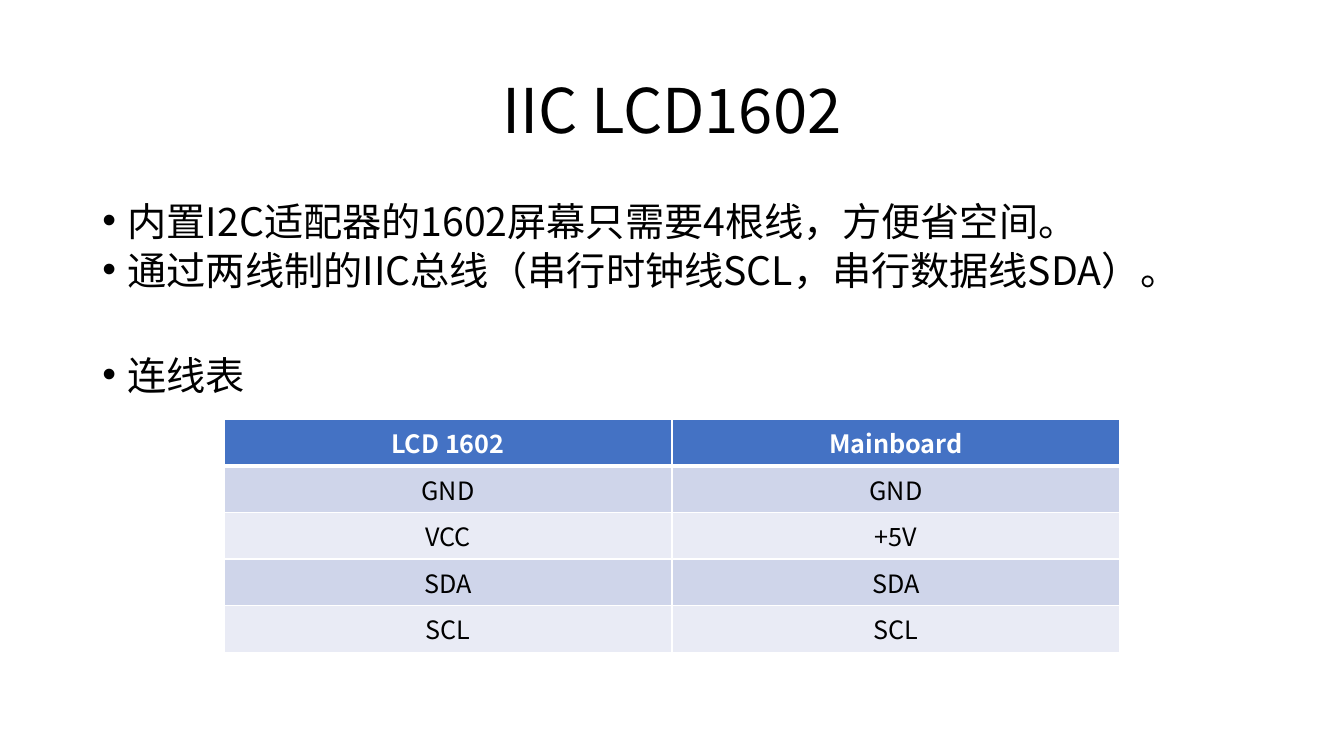
from lxml import etree
from pptx import Presentation
from pptx.dml.color import RGBColor
from pptx.enum.text import MSO_ANCHOR, MSO_AUTO_SIZE, PP_ALIGN
from pptx.oxml.ns import qn
from pptx.util import Pt

CENTER = PP_ALIGN.CENTER
LEFT = PP_ALIGN.LEFT
MIDDLE = MSO_ANCHOR.MIDDLE
TOP = MSO_ANCHOR.TOP
NO_AUTOFIT = MSO_AUTO_SIZE.NONE

FONT = "Noto Sans CJK SC"
BLACK = RGBColor(0x00, 0x00, 0x00)
WHITE = RGBColor(0xFF, 0xFF, 0xFF)
HEADER_BLUE = RGBColor(0x44, 0x72, 0xC4)
BAND_DARK = RGBColor(0xCF, 0xD5, 0xEA)
BAND_LIGHT = RGBColor(0xE9, 0xEB, 0xF5)

TITLE = "IIC LCD1602"
# Each point: wording and space before in points
POINTS = [
    ("内置I2C适配器的1602屏幕只需要4根线，方便省空间。", 0),
    ("通过两线制的IIC总线（串行时钟线SCL，串行数据线SDA）。", 8),
    ("连线表", 48),
]
WIRING = [
    ("LCD 1602", "Mainboard"),
    ("GND", "GND"),
    ("VCC", "+5V"),
    ("SDA", "SDA"),
    ("SCL", "SCL"),
]


def format_runs(paragraph, size, color, bold=False):
    for run in paragraph.runs:
        font = run.font
        font.size = Pt(size)
        font.bold = bold
        font.color.rgb = color
        font.name = FONT
        east_asian = etree.SubElement(font._element, qn("a:ea"))
        east_asian.set("typeface", FONT)


def place(placeholder, left, top, width, height, anchor):
    placeholder.left, placeholder.top = Pt(left), Pt(top)
    placeholder.width, placeholder.height = Pt(width), Pt(height)
    frame = placeholder.text_frame
    frame.auto_size = NO_AUTOFIT
    frame.word_wrap = True
    frame.vertical_anchor = anchor
    return frame


def fill_title(placeholder):
    frame = place(placeholder, 66, 28.75, 828, 104.4, MIDDLE)
    frame.text = TITLE
    heading = frame.paragraphs[0]
    heading.alignment = CENTER
    heading.line_spacing = 0.9
    format_runs(heading, 44, BLACK)


def add_bullet(paragraph, indent):
    properties = paragraph._p.get_or_add_pPr()
    properties.set("marL", str(Pt(indent)))
    properties.set("indent", str(-Pt(indent)))
    etree.SubElement(properties, qn("a:buFont")).set("typeface", "Arial")
    etree.SubElement(properties, qn("a:buChar")).set("char", "•")


def fill_points(placeholder):
    frame = place(placeholder, 66, 143.75, 828, 342.6, TOP)
    frame.text = "\n".join(wording for wording, _ in POINTS)
    for point, (_, space_before) in zip(frame.paragraphs, POINTS):
        add_bullet(point, 18)
        point.alignment = LEFT
        point.line_spacing = 0.8
        point.space_before = Pt(space_before)
        format_runs(point, 28, BLACK)


def set_borders(cell, top, bottom):
    """Draw white cell edges; top and bottom are line widths in points."""
    properties = cell._tc.get_or_add_tcPr()
    for edge, width in (("lnL", 1), ("lnR", 1), ("lnT", top), ("lnB", bottom)):
        line = etree.SubElement(properties, qn(f"a:{edge}"), w=str(Pt(width)))
        solid = etree.SubElement(line, qn("a:solidFill"))
        etree.SubElement(solid, qn("a:srgbClr"), val=str(WHITE))


def add_wiring_table(slide):
    row_height = 29.2
    table = slide.shapes.add_table(
        len(WIRING), 2, Pt(160), Pt(299.5), Pt(640), Pt(row_height * len(WIRING))
    ).table
    for row_index, pins in enumerate(WIRING):
        table.rows[row_index].height = Pt(row_height)
        is_header = row_index == 0
        band = BAND_DARK if row_index % 2 else BAND_LIGHT
        for column_index, pin in enumerate(pins):
            cell = table.cell(row_index, column_index)
            set_borders(cell, 3 if row_index == 1 else 1, 3 if is_header else 1)
            cell.fill.solid()
            cell.fill.fore_color.rgb = HEADER_BLUE if is_header else band
            cell.text_frame.text = pin
            label = cell.text_frame.paragraphs[0]
            label.alignment = CENTER
            format_runs(label, 18, WHITE if is_header else BLACK, is_header)


def main():
    presentation = Presentation()
    presentation.slide_width, presentation.slide_height = Pt(960), Pt(540)
    slide = presentation.slides.add_slide(presentation.slide_layouts[1])
    fill_title(slide.shapes.title)
    fill_points(slide.placeholders[1])
    add_wiring_table(slide)
    presentation.save("out.pptx")


if __name__ == "__main__":
    main()
